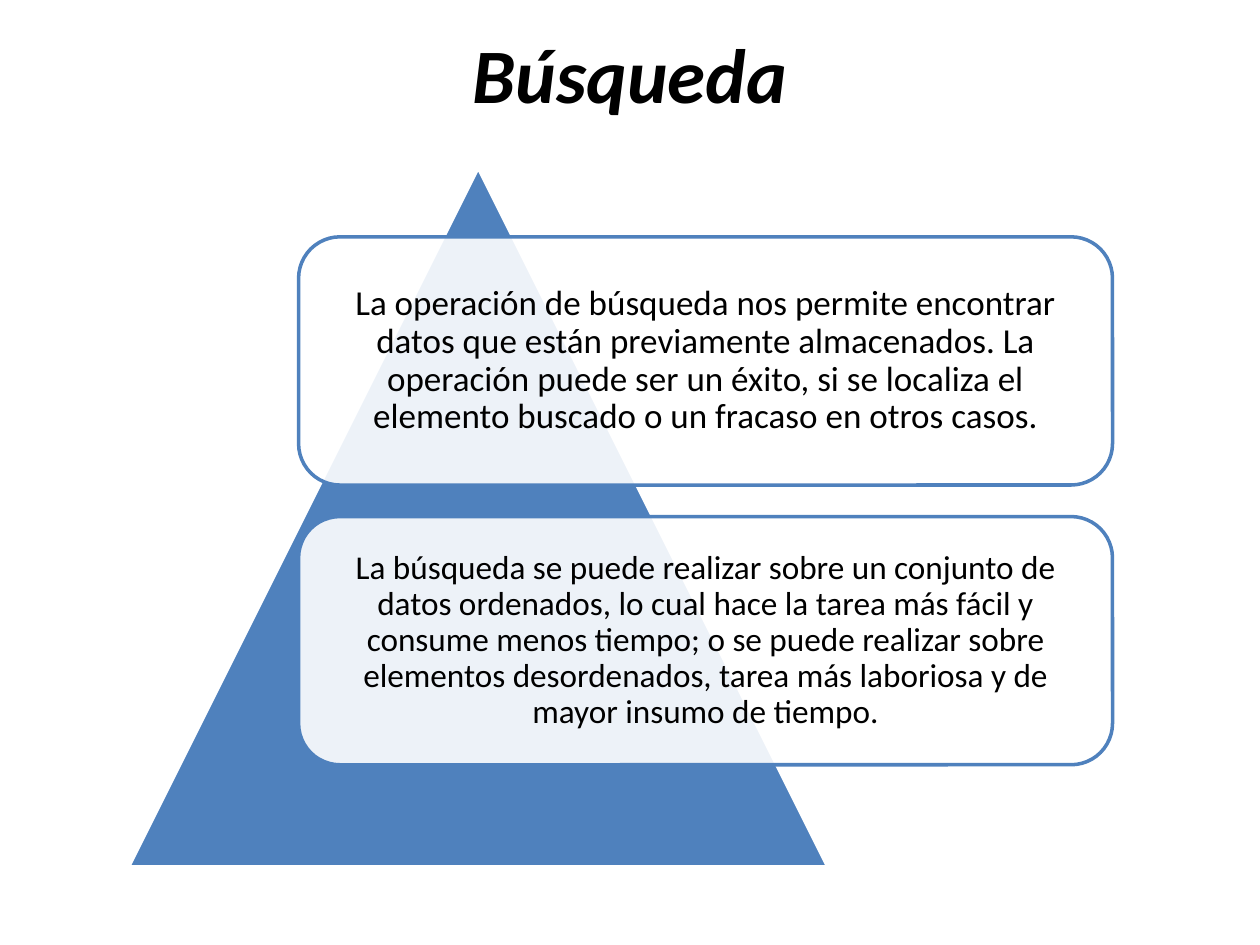
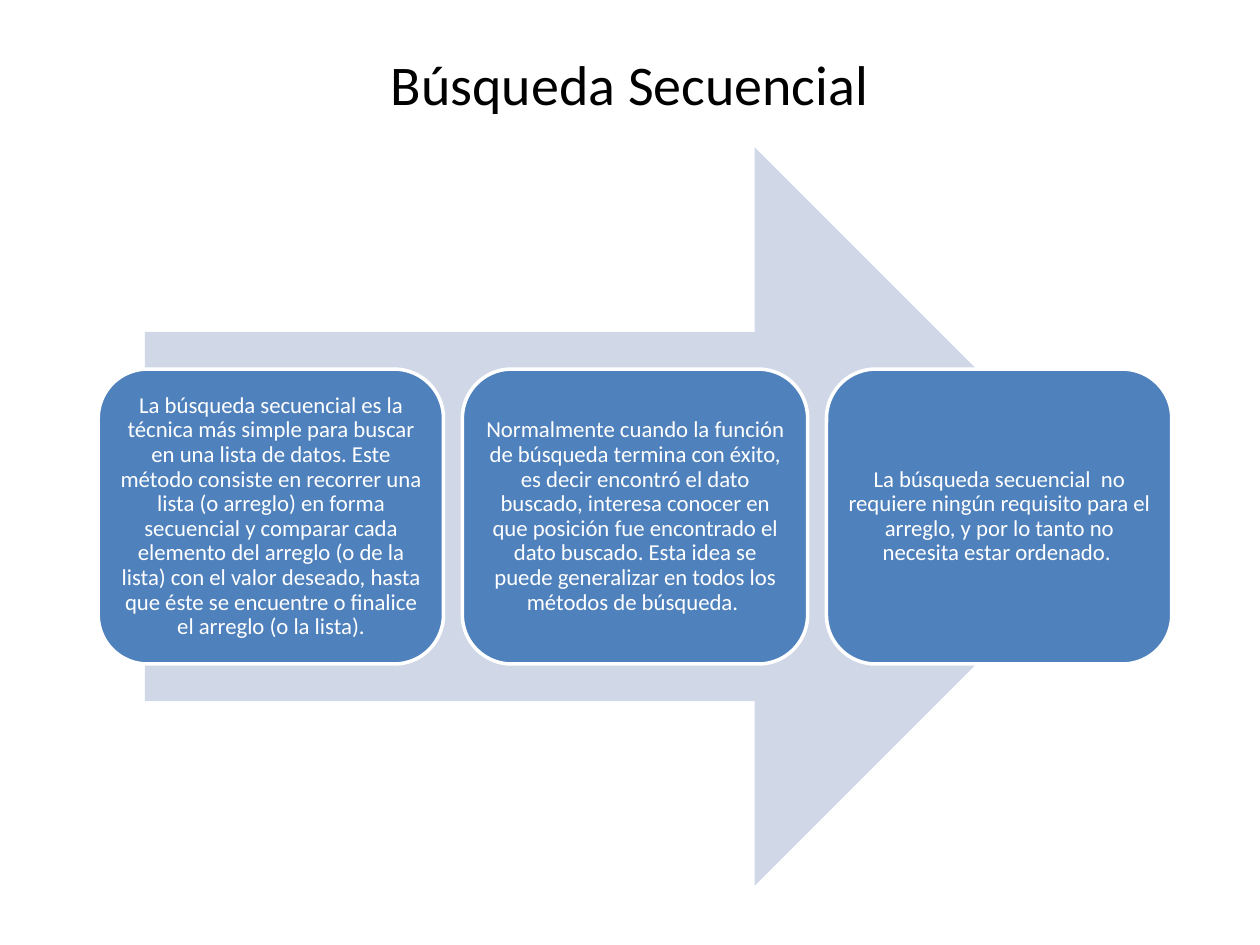
"""Builds two slides that explain searching and sequential search."""
from dataclasses import dataclass

from lxml import etree
from pptx import Presentation
from pptx.dml.color import RGBColor
from pptx.enum import shapes, text
from pptx.oxml import ns
from pptx.util import Inches, Pt


@dataclass(frozen=True)
class Theme:
    """Colours, font and sizes shared by the slides."""
    font: str = "Calibri"
    blue: str = "4F81BD"
    pale_blue: str = "D0D8E8"
    white: str = "FFFFFF"
    black: str = "000000"
    outline: float = 2
    main_title: float = 44
    section_title: float = 32
    card_text: float = 13


THEME = Theme()
SEARCH_NOTES = [
    ("La operación de búsqueda nos permite encontrar datos que están previamente "
     "almacenados. La operación puede ser un éxito, si se localiza el elemento "
     "buscado o un fracaso en otros casos.", 20),
    ("La búsqueda se puede realizar sobre un conjunto de datos ordenados, lo cual "
     "hace la tarea más fácil y consume menos tiempo; o se puede realizar sobre "
     "elementos desordenados, tarea más laboriosa y de mayor insumo de tiempo.", 19),
]
SEQUENTIAL_STEPS = [
    "La búsqueda secuencial es la técnica más simple para buscar en una lista de "
    "datos. Este método consiste en recorrer una lista (o arreglo) en forma "
    "secuencial y comparar cada elemento del arreglo (o de la lista) con el valor "
    "deseado, hasta que éste se encuentre o finalice el arreglo (o la lista).",
    "Normalmente cuando la función de búsqueda termina con éxito, es decir encontró "
    "el dato buscado, interesa conocer en que posición fue encontrado el dato "
    "buscado. Esta idea se puede generalizar en todos los métodos de búsqueda. ",
    "La búsqueda secuencial  no requiere ningún requisito para el arreglo, y por lo "
    "tanto no necesita estar ordenado. ",
]


def write(frame, words, size, color, bold=False, italic=False):
    """Write one centred paragraph in the middle of a frame and return it."""
    frame.word_wrap = True
    frame.vertical_anchor = text.MSO_ANCHOR.MIDDLE
    paragraph = frame.paragraphs[0]
    paragraph.alignment = text.PP_ALIGN.CENTER
    run = paragraph.add_run()
    run.text = words
    run.font.name = THEME.font
    run.font.size = Pt(size)
    run.font.bold = bold
    run.font.italic = italic
    run.font.color.rgb = RGBColor.from_string(color)
    return paragraph


def add_title(slide, words, size, height, emphasis=False):
    """Add the centred slide title."""
    title = slide.shapes.add_textbox(Inches(0.5), Inches(0.3), Inches(9), Inches(height))
    write(title.text_frame, words, size, THEME.black, emphasis, emphasis)


def add_figure(slide, preset, box, fill, outline=None, opacity=100):
    """Add a flat preset shape with an optional outline and transparency."""
    figure = slide.shapes.add_shape(preset, *map(Inches, box))
    figure.shadow.inherit = False
    figure.fill.solid()
    figure.fill.fore_color.rgb = RGBColor.from_string(fill)
    if opacity < 100:
        tint = figure.fill._xPr.find(".//" + ns.qn("a:srgbClr"))
        etree.SubElement(tint, ns.qn("a:alpha"), val=str(opacity * 1000))
    if outline:
        figure.line.color.rgb = RGBColor.from_string(outline)
        figure.line.width = Pt(THEME.outline)
    else:
        figure.line.fill.background()
    return figure


def add_card(slide, box, words, size, fill, outline, ink, inset, opacity=100):
    """Add a rounded card holding one paragraph."""
    card = add_figure(slide, shapes.MSO_SHAPE.ROUNDED_RECTANGLE, box, fill, outline, opacity)
    frame = card.text_frame
    frame.margin_left = frame.margin_right = Inches(inset)
    frame.margin_top = frame.margin_bottom = Inches(inset)
    write(frame, words, size, ink).line_spacing = 0.9


def build_search(slide):
    """Build the pyramid slide that introduces searching."""
    add_figure(slide, shapes.MSO_SHAPE.ISOSCELES_TRIANGLE, (1.02, 1.33, 5.55, 5.55),
               THEME.blue, THEME.white)
    top, pitch = 1.88, 2.22
    for row, (note, size) in enumerate(SEARCH_NOTES):
        add_card(slide, (2.37, top + row * pitch, 6.46, 1.97), note, size,
                 THEME.white, THEME.blue, THEME.black, inset=0.08, opacity=90)
    add_title(slide, "Búsqueda", THEME.main_title, 0.56, emphasis=True)


def build_sequential(slide):
    """Build the arrow slide that describes sequential search."""
    add_title(slide, "Búsqueda Secuencial", THEME.section_title, 0.72)
    add_figure(slide, shapes.MSO_SHAPE.RIGHT_ARROW, (1.15, 1.17, 7.77, 5.86), THEME.pale_blue)
    left, pitch = 0.78, 2.89
    for column, step in enumerate(SEQUENTIAL_STEPS):
        add_card(slide, (left + column * pitch, 2.93, 2.74, 2.34), step, THEME.card_text,
                 THEME.blue, THEME.white, THEME.white, inset=0.05)


def main():
    """Build and save the presentation."""
    deck = Presentation()
    deck.slide_width, deck.slide_height = Inches(10), Inches(7.5)
    blank = deck.slide_layouts[6]
    for build in (build_search, build_sequential):
        build(deck.slides.add_slide(blank))
    deck.save("out.pptx")


if __name__ == "__main__":
    main()
